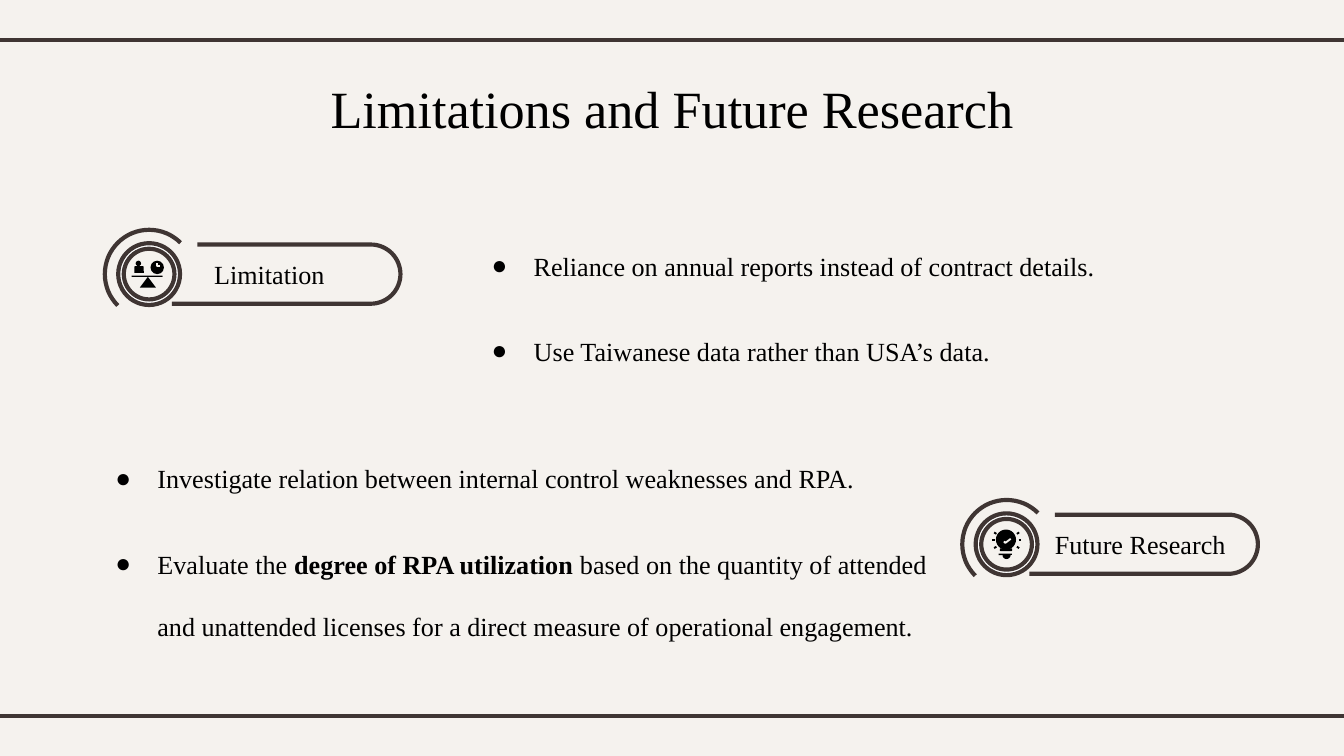
"""Build the slide on limitations and future research."""
import dataclasses
import math

import lxml.etree
import pptx
import pptx.dml.color
import pptx.enum.shapes
import pptx.enum.text
import pptx.oxml.ns
import pptx.util

Inches = pptx.util.Inches
Pt = pptx.util.Pt
Shape = pptx.enum.shapes.MSO_SHAPE
Align = pptx.enum.text.PP_ALIGN


@dataclasses.dataclass(frozen=True)
class Theme:
    """Colours, font, type sizes and line widths."""
    background: str = "F5F2EE"
    stroke: str = "3F3533"
    text: str = "000000"
    ring: str = "FFFFFF"
    font: str = "Times New Roman"
    title_size: float = 28
    body_size: float = 14
    bullet_indent: float = 22.5
    stroke_width: float = 2.25
    icon_width: float = 1


def rgb(value):
    """Return the colour object of a hex string."""
    return pptx.dml.color.RGBColor.from_string(value)


def apply(target, values):
    """Set every attribute in a dict of format values."""
    for name, value in values.items():
        setattr(target, name, value)


def arc(x, y, radius, start, end, steps=32):
    """Return points on an arc, with angles in degrees running clockwise."""
    angles = [math.radians(start + (end - start) * i / steps) for i in range(steps + 1)]
    return [(x + radius * math.cos(a), y + radius * math.sin(a)) for a in angles]


def moved(points, x, y):
    """Shift points by an offset."""
    return [(px + x, py + y) for px, py in points]


class SlideBuilder:
    """Holds the theme and the current slide."""

    def __init__(self, presentation, theme):
        self.theme = theme
        self.slide = presentation.slides.add_slide(presentation.slide_layouts[5])
        self.slide.background.fill.solid()
        self.slide.background.fill.fore_color.rgb = rgb(theme.background)

    def paint(self, shape, fill=None, line=None, width=None):
        """Give a shape its fill and line, without a shadow."""
        shape.shadow.inherit = False
        for part, colour in ((shape.fill, fill), (shape.line.fill, line)):
            if colour:
                part.solid()
                part.fore_color.rgb = rgb(colour)
            else:
                part.background()
        if line:
            shape.line.width = Pt(width or self.theme.stroke_width)

    def rule(self, y):
        """Draw a line across the whole slide."""
        connector = self.slide.shapes.add_connector(
            pptx.enum.shapes.MSO_CONNECTOR.STRAIGHT,
            Inches(-0.08), Inches(y), Inches(10.08), Inches(y))
        connector.line.color.rgb = rgb(self.theme.stroke)
        connector.line.width = Pt(self.theme.stroke_width)
        properties = connector.element.find(pptx.oxml.ns.qn("p:spPr"))
        lxml.etree.SubElement(properties, pptx.oxml.ns.qn("a:effectLst"))

    def preset(self, shapes, kind, box, **paint):
        """Add a preset shape."""
        shape = shapes.add_shape(kind, *map(Inches, box))
        self.paint(shape, **paint)
        return shape

    def outline(self, shapes, points, close=False, **paint):
        """Add a freeform through a list of points."""
        corners = [(Inches(x), Inches(y)) for x, y in points]
        builder = shapes.build_freeform(*corners[0])
        builder.add_line_segments(corners[1:], close=close)
        self.paint(builder.convert_to_shape(), **paint)

    def frame(self, shape, box, margin_y=0.1):
        """Place a text shape and set up its frame."""
        apply(shape, dict(zip(("left", "top", "width", "height"), map(Inches, box))))
        apply(shape.text_frame, {
            "word_wrap": True,
            "auto_size": pptx.enum.text.MSO_AUTO_SIZE.NONE,
            "vertical_anchor": pptx.enum.text.MSO_ANCHOR.TOP,
            "margin_left": Inches(0.1), "margin_right": Inches(0.1),
            "margin_top": Inches(margin_y), "margin_bottom": Inches(margin_y)})
        return shape.text_frame

    def run(self, paragraph, text, size, bold=False):
        """Add a styled run."""
        run = paragraph.add_run()
        run.text = text
        apply(run.font, {"name": self.theme.font, "size": Pt(size), "bold": bold})
        run.font.color.rgb = rgb(self.theme.text)

    def title(self, text, box):
        """Fill the title placeholder."""
        paragraph = self.frame(self.slide.shapes.title, box).paragraphs[0]
        paragraph.alignment = Align.CENTER
        self.run(paragraph, text, self.theme.title_size)

    def bullets(self, items, box):
        """Add a bulleted list; each item is a list of (text, bold) pairs."""
        shape = self.slide.shapes.add_textbox(*map(Inches, box))
        frame = self.frame(shape, box)
        for index, item in enumerate(items):
            paragraph = frame.add_paragraph() if index else frame.paragraphs[0]
            apply(paragraph, {"alignment": Align.LEFT, "line_spacing": 2.0,
                              "space_after": Pt(12)})
            properties = paragraph._p.get_or_add_pPr()
            properties.set("marL", str(Pt(self.theme.bullet_indent)))
            properties.set("indent", str(Pt(-self.theme.bullet_indent)))
            colour = lxml.etree.SubElement(properties, pptx.oxml.ns.qn("a:buClr"))
            lxml.etree.SubElement(colour, pptx.oxml.ns.qn("a:srgbClr"), val=self.theme.text)
            lxml.etree.SubElement(properties, pptx.oxml.ns.qn("a:buFont"),
                                  typeface=self.theme.font)
            lxml.etree.SubElement(properties, pptx.oxml.ns.qn("a:buChar"), char="●")
            for text, bold in item:
                self.run(paragraph, text, self.theme.body_size, bold)

    def badge(self, x, y, text, label_box, icon):
        """Add a ringed icon centred at x, y with a labelled pill beside it."""
        shapes = self.slide.shapes.add_group_shape().shapes
        stroke = self.theme.stroke
        pill = [(0.17, 0.22), *arc(1.65, 0, 0.22, 90, -90), (0.36, -0.22)]
        self.outline(shapes, moved(pill, x, y), line=stroke)
        ring = self.preset(shapes, Shape.DONUT, (x - 0.23, y - 0.23, 0.46, 0.46),
                           fill=self.theme.ring, line=stroke)
        ring.adjustments[0] = 0.09
        self.outline(shapes, arc(x, y, 0.33, 135, 315), line=stroke)
        label = shapes.add_textbox(*map(Inches, label_box))
        paragraph = self.frame(label, label_box, 0.05).paragraphs[0]
        paragraph.alignment = Align.CENTER
        self.run(paragraph, text, self.theme.body_size)
        icon(shapes, x, y)

    def solids(self, shapes, x, y, parts):
        """Add the filled preset parts of an icon around x, y."""
        for kind, left, top, width, height in parts:
            self.preset(shapes, kind, (x + left, y + top, width, height),
                        fill=self.theme.text)

    def balance(self, shapes, x, y):
        """Draw a person and a clock on a balance."""
        self.solids(shapes, x, y, [
            (Shape.ROUNDED_RECTANGLE, -0.13, 0.01, 0.23, 0.01),
            (Shape.ISOSCELES_TRIANGLE, -0.07, 0.02, 0.12, 0.08),
            (Shape.OVAL, 0.01, -0.1, 0.1, 0.1),
            (Shape.OVAL, -0.1, -0.1, 0.04, 0.04),
            (Shape.ROUND_2_SAME_RECTANGLE, -0.11, -0.06, 0.07, 0.05)])
        hands = [(0.06, -0.08), (0.06, -0.06), (0.08, -0.06)]
        self.outline(shapes, moved(hands, x, y), line=self.theme.background,
                     width=self.theme.icon_width)

    def bulb(self, shapes, x, y):
        """Draw a shining light bulb with a check mark."""
        self.solids(shapes, x, y, [
            (Shape.OVAL, -0.08, -0.11, 0.15, 0.15),
            (Shape.ROUNDED_RECTANGLE, -0.05, 0.03, 0.09, 0.02),
            (Shape.ROUNDED_RECTANGLE, -0.06, 0.07, 0.1, 0.01)])
        self.outline(shapes, arc(x, y + 0.08, 0.03, 0, 180), close=True, fill=self.theme.text)
        for angle in (-32, 0, 32, 148, 180, 212):
            ray = [arc(x, y - 0.03, radius, angle, angle, 1)[0] for radius in (0.09, 0.11)]
            self.outline(shapes, ray, line=self.theme.text, width=self.theme.icon_width)
        check = [(-0.02, -0.02), (-0.01, -0.01), (0.03, -0.04)]
        self.outline(shapes, moved(check, x, y), line=self.theme.background,
                     width=self.theme.icon_width)


def main():
    """Build and save the presentation."""
    presentation = pptx.Presentation()
    apply(presentation, {"slide_width": Inches(10), "slide_height": Inches(10) * 9 // 16})
    builder = SlideBuilder(presentation, Theme())
    for y in (0.3, 5.33):
        builder.rule(y)
    builder.title("Limitations and Future Research", (0.33, 0.47, 9.34, 0.63))
    builder.bullets([
        [("Reliance on annual reports instead of contract details.", False)],
        [("Use Taiwanese data rather than USA’s data.", False)],
    ], (3.56, 1.53, 5.79, 1.13))
    builder.bullets([
        [("Investigate relation between internal control weaknesses and RPA.", False)],
        [("Evaluate the ", False), ("degree of RPA utilization ", True),
         ("based on the quantity of attended and unattended licenses for a direct "
          "measure of operational engagement.", False)],
    ], (0.76, 3.11, 6.32, 1.91))
    builder.badge(1.11, 2.04, "Limitation", (1.34, 1.87, 1.33, 0.34), builder.balance)
    builder.badge(7.49, 4.05, "Future Research", (7.72, 3.88, 1.53, 0.34), builder.bulb)
    presentation.save("out.pptx")


if __name__ == "__main__":
    main()
